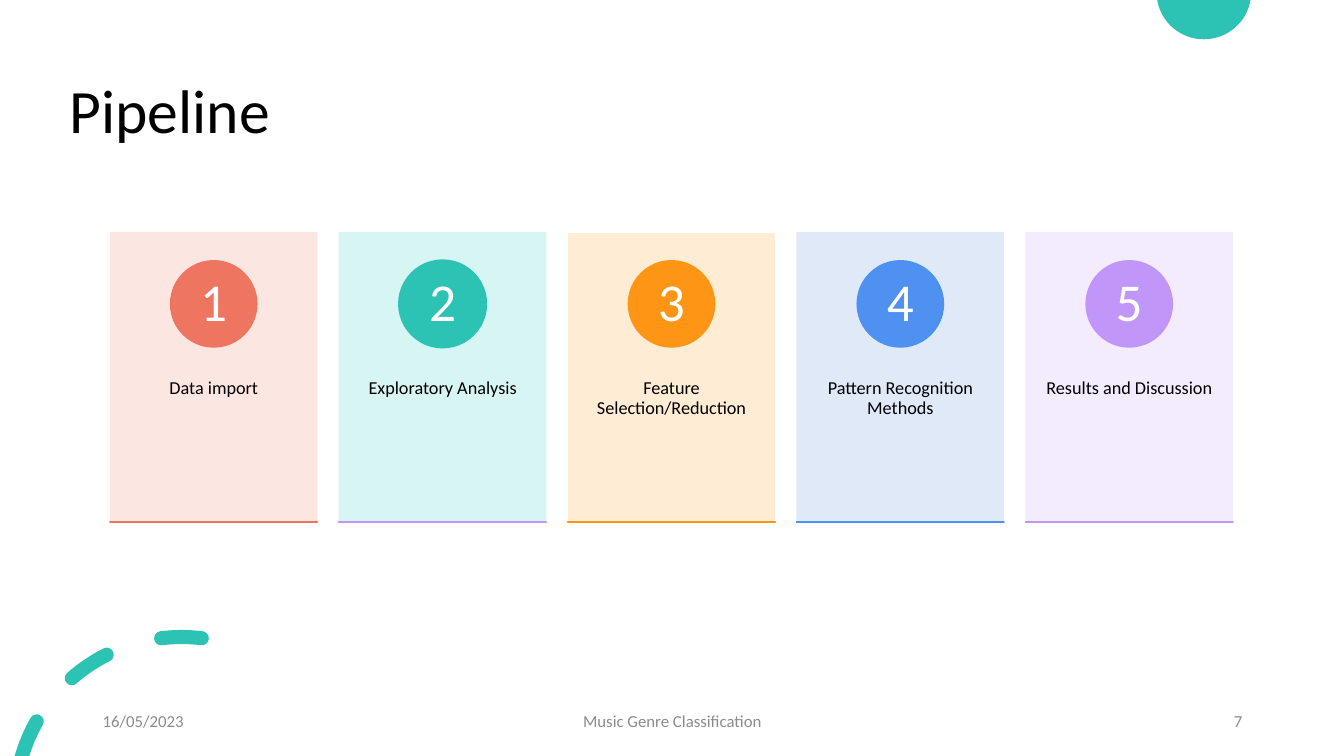
from dataclasses import dataclass
from math import cos, radians, sin, tan

from lxml.etree import SubElement
from pptx import Presentation
from pptx.dml.color import RGBColor
from pptx.enum.shapes import MSO_SHAPE as Shape
from pptx.enum.text import MSO_ANCHOR as Anchor, PP_ALIGN as Align
from pptx.oxml.ns import qn
from pptx.util import Emu, Inches, Pt

# Content: label, card, disc, base line, card opacity
TITLE = "Pipeline"
STEPS = [
    ("Data import", "FCE4DF", "EE7661", "EE7661", 90),
    ("Exploratory Analysis", "D3F5F2", "2CC3B4", "C097F8", 90),
    ("Feature Selection/Reduction", "FFECD5", "FF9514", "FF9514", 100),
    ("Pattern Recognition Methods", "DFE9F8", "4E91F0", "4E91F0", 100),
    ("Results and Discussion", "F3ECFE", "C097F8", "C097F8", 100),
]
FOOT = [
    ("16/05/2023", 0.92, 3, Align.LEFT),
    ("Music Genre Classification", 4.42, 4.5, Align.CENTER),
    ("7", 9.42, 3, Align.RIGHT),
]


@dataclass
class Theme:
    font: str = "Calibri"
    ink: str = "000000"
    white: str = "FFFFFF"
    grey: str = "8C8C8C"
    teal: str = "2CC3B4"
    title: float = 44
    digit: float = 38
    label: float = 13
    foot: float = 12


T = Theme()
WIDE, HIGH = 13.33, 7.5

# Card grid
LEFT, TOP, STEP = 1.09, 2.3, 2.27
CARD_W, CARD_H = 2.06, 2.89
DISC, DISC_Y, LABEL_Y, RULE_Y = 0.87, 0.28, 1.46, 2.88

# Dashed ring in the lower corner; the last dash runs off the slide
RING, RING_R, HALF = (1.8, 7.97), 1.65, 0.07
DASHES = [(83, 97), (116.7, 131.2)]
LAST, CUT_IN, CUT_OUT = 150.5, 162.7, 164.1

deck = Presentation()
deck.slide_width, deck.slide_height = Inches(WIDE), Inches(HIGH)
slide = deck.slides.add_slide(deck.slide_layouts[5])
parts = slide.shapes


def box(*sides):
    return [Inches(s) for s in sides]


def write(shape, text, size, color, align, anchor, pads=(0.1, 0.05, 0.1, 0.05),
          wrap=True, lead=0.9):
    frame = shape.text_frame
    frame.word_wrap, frame.vertical_anchor = wrap, anchor
    (frame.margin_left, frame.margin_top,
     frame.margin_right, frame.margin_bottom) = box(*pads)
    para = frame.paragraphs[0]
    para.alignment, para.line_spacing = align, lead
    run = para.add_run()
    run.text = text
    run.font.name, run.font.size = T.font, Pt(size)
    run.font.color.rgb = RGBColor.from_string(color)


def paint(shape, fill, edge=None, alpha=100):
    shape.shadow.inherit = False
    shape.fill.solid()
    shape.fill.fore_color.rgb = RGBColor.from_string(fill)
    if alpha < 100:
        tint = shape._element.spPr.find(".//" + qn("a:srgbClr"))
        SubElement(tint, qn("a:alpha")).set("val", str(alpha * 1000))
    if edge:
        shape.line.color.rgb = RGBColor.from_string(edge)
        shape.line.width = Pt(1)
    else:
        shape.line.fill.background()


def polar(mid, r, turn):
    return mid[0] + r * cos(radians(turn)), mid[1] - r * sin(radians(turn))


def arc(mid, r, start, end, count=1):
    """Bezier points after the start; degrees, anticlockwise from the right."""
    step = (end - start) / count
    pull = 4 / 3 * tan(radians(step) / 4)
    dots = []
    for i in range(count):
        a, b = start + i * step, start + (i + 1) * step
        (ax, ay), (bx, by) = polar(mid, r, a), polar(mid, r, b)
        (ux, uy), (vx, vy) = polar((0, 0), r, a + 90), polar((0, 0), r, b + 90)
        dots += [(ax + pull * ux, ay + pull * uy),
                 (bx - pull * vx, by - pull * vy), (bx, by)]
    return dots


def curves(*loops):
    """One filled shape; each loop is a start and triples of Bezier points."""
    pen = parts.build_freeform(*box(*loops[0][0]))
    for i, (first, *rest) in enumerate(loops):
        if i:
            pen.move_to(*box(*first))
        pen.add_line_segments([box(*dot) for dot in rest], close=True)
    shape = pen.convert_to_shape()
    lines = list(shape._element.iter(qn("a:lnTo")))
    for one, two, three in zip(lines[::3], lines[1::3], lines[2::3]):
        bend = one.getparent().makeelement(qn("a:cubicBezTo"))
        one.addprevious(bend)
        for line in (one, two, three):
            bend.append(line[0])
            line.getparent().remove(line)
    paint(shape, T.teal)


def cap(turn, start):
    return arc(polar(RING, RING_R, turn), HALF, start, start + 180, 2)


def band(start, inner, outer):
    """Inner edge, round end at the start, outer edge."""
    return [polar(RING, RING_R - HALF, inner),
            *arc(RING, RING_R - HALF, inner, start),
            *cap(start, start + 180),
            *arc(RING, RING_R + HALF, start, outer)]


# Corner ornaments
disk = (11.94, -0.08)
curves([polar(disk, 0.47, 190), *arc(disk, 0.47, 190, 350, 2)])
curves(band(LAST, CUT_IN, CUT_OUT),
       *[band(a, b, b) + cap(b, b) for a, b in DASHES])

# Title, in front of the ornaments
head = parts.title
head._element.getparent().append(head._element)
head.left, head.top, head.width, head.height = box(0.59, 0.4, 11.5, 1.45)
write(head, TITLE, T.title, T.ink, Align.LEFT, Anchor.MIDDLE)

# Step cards
for i, (label, pale, bold, base, alpha) in enumerate(STEPS):
    x = LEFT + i * STEP
    card = parts.add_shape(Shape.RECTANGLE, *box(x, TOP, CARD_W, CARD_H))
    paint(card, pale, T.white if i == 2 else None, alpha)
    write(card, label, T.label, T.ink, Align.CENTER, Anchor.TOP,
          (0.16, LABEL_Y, 0.16, 0.36))

    disc = parts.add_shape(
        Shape.OVAL, *box(x + (CARD_W - DISC) / 2, TOP + DISC_Y, DISC, DISC))
    paint(disc, bold, bold if i == 1 else None)
    write(disc, str(i + 1), T.digit, T.white, Align.CENTER, Anchor.MIDDLE,
          (0, 0, 0, 0), wrap=False)

    rule = parts.add_shape(
        Shape.RECTANGLE, *box(x, TOP + RULE_Y, CARD_W), Emu(72))
    paint(rule, base, base)

# Footer
for text, x, width, align in FOOT:
    note = parts.add_textbox(*box(x, 6.95, width, 0.4))
    write(note, text, T.foot, T.grey, align, Anchor.MIDDLE, lead=1.0)

deck.save("out.pptx")
